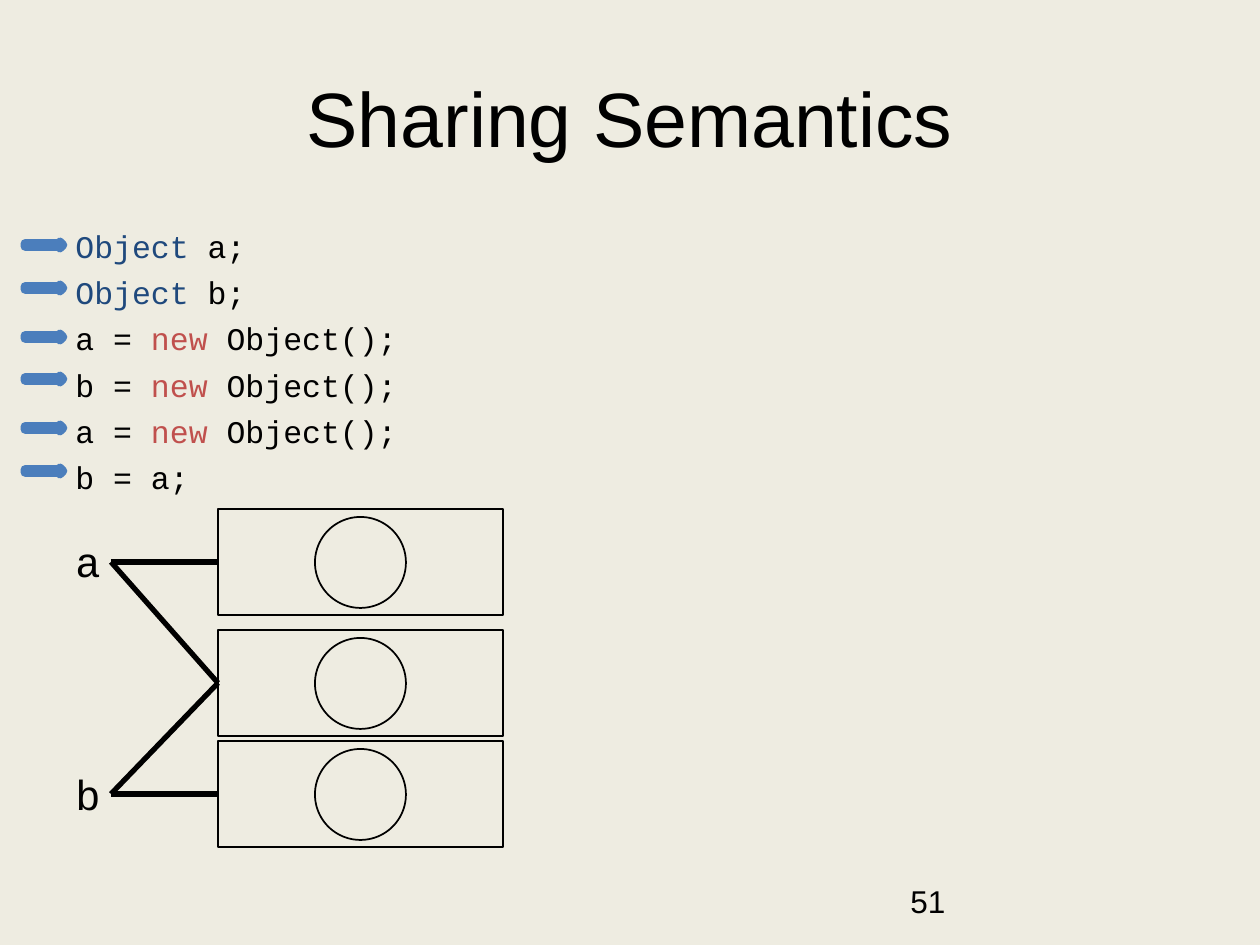
from pptx import Presentation
from pptx.dml.color import RGBColor
from pptx.enum.shapes import MSO_CONNECTOR, MSO_SHAPE
from pptx.enum.text import MSO_ANCHOR, PP_ALIGN
from pptx.oxml.ns import qn
from pptx.util import Pt
from lxml import etree

PX = 914400 // 126  # EMU per pixel
BLACK = RGBColor(0x00, 0x00, 0x00)
BEIGE = RGBColor(0xEE, 0xEC, 0xE1)
NAVY = RGBColor(0x1F, 0x49, 0x7D)
RED = RGBColor(0xC0, 0x50, 0x4D)
ARROW_EDGE = RGBColor(0x4B, 0x7E, 0xBC)
ARROW_DARK = RGBColor(0x3F, 0x80, 0xCE)
ARROW_LIGHT = RGBColor(0xA4, 0xC4, 0xFF)

prs = Presentation()
prs.slide_width, prs.slide_height = 1260 * PX, 945 * PX
slide = prs.slides.add_slide(prs.slide_layouts[6])
slide.background.fill.solid()
slide.background.fill.fore_color.rgb = BEIGE


def add_text(box, lines, size, font, wrap=True):
    """Add a text box; each line is a list of (text, colour) pieces."""
    frame = slide.shapes.add_textbox(*(v * PX for v in box)).text_frame
    frame.word_wrap = wrap
    for i, pieces in enumerate(lines):
        paragraph = frame.paragraphs[0] if i == 0 else frame.add_paragraph()
        for text, colour in pieces:
            run = paragraph.add_run()
            run.text = text
            run.font.size, run.font.name = Pt(size), font
            run.font.color.rgb = colour
    return frame


def add_outline(kind, box, colour, width):
    """Add an unfilled preset shape with a plain outline."""
    shape = slide.shapes.add_shape(kind, *(v * PX for v in box))
    shape.shadow.inherit = False
    shape.fill.background()
    shape.line.color.rgb, shape.line.width = colour, Pt(width)
    return shape


# Title
title = add_text((63, 38, 1134, 157), [[("Sharing Semantics", BLACK)]], 44, "Arial")
title.vertical_anchor = MSO_ANCHOR.MIDDLE
title.paragraphs[0].alignment = PP_ALIGN.CENTER

# Code listing
declarations = [[("Object", NAVY), (f" {name};", BLACK)] for name in "ab"]
creations = [[(f"{name} = ", BLACK), ("new", RED), (" Object();", BLACK)]
             for name in "aba"]
code = add_text((63, 221, 1134, 283),
                declarations + creations + [[("b = a;", BLACK)]], 18, "Courier New")
for statement in code.paragraphs:
    statement.space_before = Pt(4.75)

# Page number
add_text((898, 876, 294, 50), [[("51", BLACK)]], 18, "Arial")

# Objects in memory
for top in (509, 630, 741):
    add_outline(MSO_SHAPE.RECTANGLE, (218, top, 285, 106), BLACK, 1)
    add_outline(MSO_SHAPE.OVAL, (315, top + 8, 91, 91), BLACK, 1)

# Variables, each referring to its own object and to the shared one
for name, label_top, ref_y in (("a", 529, 562), ("b", 762, 794)):
    add_text((63, label_top, 48, 63), [[(name, BLACK)]], 24, "Courier New", wrap=False)
    for object_y in (ref_y, 683):
        reference = slide.shapes.add_connector(
            MSO_CONNECTOR.STRAIGHT, 111 * PX, ref_y * PX, 218 * PX, object_y * PX)
        reference.line.color.rgb, reference.line.width = BLACK, Pt(3)
        etree.SubElement(reference._element.spPr, qn("a:effectLst"))

# Arrows marking the statements
for top in (242, 285, 334, 376, 425, 468):
    marker = add_outline(MSO_SHAPE.RIGHT_ARROW, (25, top, 38, 6), ARROW_EDGE, 5)
    marker.fill.gradient()
    marker.fill.gradient_angle = 90
    for stop, colour in zip(marker.fill.gradient_stops, (ARROW_DARK, ARROW_LIGHT)):
        stop.color.rgb = colour

prs.save("out.pptx")
